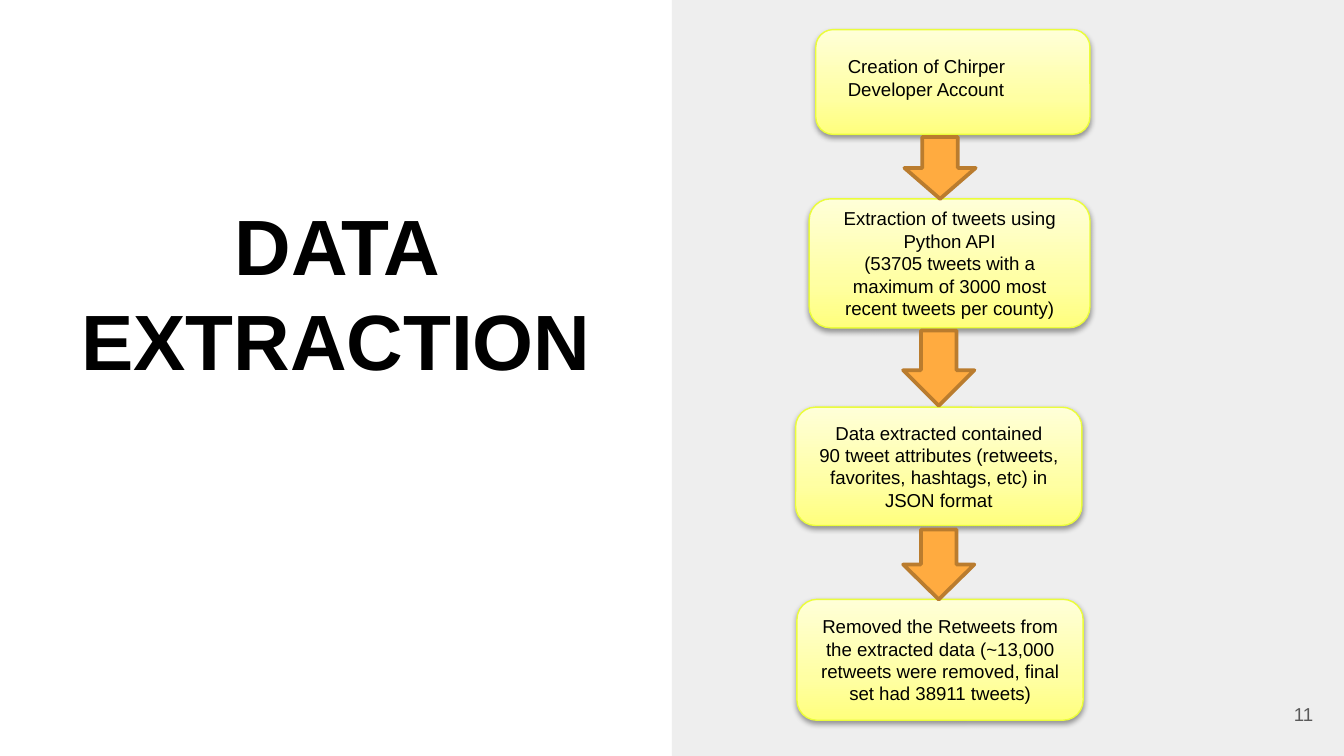
from copy import deepcopy
from dataclasses import dataclass

from lxml import etree
from pptx import Presentation
from pptx import util as u
from pptx.dml.color import RGBColor
from pptx.enum import shapes, text
from pptx.oxml.ns import qn

FONT = "Arial"
SLIDE_WIDTH = 10
SLIDE_HEIGHT = SLIDE_WIDTH * 9 / 16
NBSP = chr(160)  # keeps the count and its noun on one line
STEP_GRADIENT = [(0, "FFFF7D"), (0.35, "FFFFA3"), (1, "FFFFD8")]


@dataclass
class Box:
    left: float
    top: float
    width: float
    height: float

    def lengths(self) -> list:
        return [u.Inches(v) for v in (self.left, self.top, self.width, self.height)]


@dataclass
class Step:
    box: Box
    lines: tuple = ()


STEPS = [
    Step(Box(6.07, 0.22, 2.04, 0.78)),
    Step(Box(6.02, 1.48, 2.09, 0.96),
         ("Extraction of tweets using Python API",
          "(53705 tweets with a maximum of 3000 most recent tweets per county)")),
    Step(Box(5.92, 3.03, 2.13, 0.88),
         (f"Data extracted contained 90{NBSP}tweet attributes "
          "(retweets, favorites, hashtags, etc) in JSON format",)),
    Step(Box(5.93, 4.46, 2.13, 0.9),
         ("Removed the Retweets from the extracted data "
          "(~13,000 retweets were removed, final set had 38911 tweets)",)),
]
ARROWS = [Box(6.73, 1.02, 0.53, 0.46), Box(6.72, 2.46, 0.53, 0.56),
          Box(6.72, 3.94, 0.53, 0.52)]


def color(hex_code: str) -> RGBColor:
    return RGBColor.from_string(hex_code)


def write(sp, lines: tuple, size: float = 10, ink: str = "000000", bold: bool = False,
          align=text.PP_ALIGN.CENTER, anchor=text.MSO_ANCHOR.MIDDLE,
          inset: float = 0.05) -> None:
    tf = sp.text_frame
    tf.word_wrap = True
    tf.vertical_anchor = anchor
    tf.margin_left = tf.margin_right = u.Inches(0.1)
    tf.margin_top = tf.margin_bottom = u.Inches(inset)
    for i, line in enumerate(lines):
        p = tf.add_paragraph() if i else tf.paragraphs[0]
        p.alignment = align
        r = p.add_run()
        r.text = line
        r.font.name, r.font.size, r.font.bold = FONT, u.Pt(size), bold
        r.font.color.rgb = color(ink)


def add_text(s, box: Box, line: str, **style):
    sp = s.shapes.add_textbox(*box.lengths())
    write(sp, (line,), **style)
    return sp


def add_shape(s, kind, box: Box, fill: str = "", line: str = "", weight: float = 0):
    sp = s.shapes.add_shape(kind, *box.lengths())
    sp.shadow.inherit = False
    if fill:
        sp.fill.solid()
        sp.fill.fore_color.rgb = color(fill)
    if line:
        sp.line.color.rgb = color(line)
        sp.line.width = u.Pt(weight)
    else:
        sp.line.fill.background()
    return sp


def add_step(s, step: Step) -> None:
    sp = add_shape(s, shapes.MSO_SHAPE.ROUNDED_RECTANGLE, step.box,
                   line="EBFD3A", weight=0.75)
    # Three-stop gradient running from bottom to top
    sp.fill.gradient()
    sp.fill.gradient_angle = 90
    spPr = sp._element.spPr
    stop_list = spPr.find(".//" + qn("a:gsLst"))
    stop_list.append(deepcopy(stop_list[0]))
    for stop, (position, hex_code) in zip(sp.fill.gradient_stops, STEP_GRADIENT):
        stop.position = position
        stop.color.rgb = color(hex_code)
    # Soft shadow below
    shadow = etree.SubElement(
        spPr.find(qn("a:effectLst")), qn("a:outerShdw"), blurRad=str(u.Pt(3.1)),
        dist=str(u.Pt(1.6)), dir="5400000", rotWithShape="0")
    black = etree.SubElement(shadow, qn("a:srgbClr"), val="000000")
    etree.SubElement(black, qn("a:alpha"), val="38000")
    if step.lines:
        write(sp, step.lines)


def main() -> None:
    prs = Presentation()
    prs.slide_width, prs.slide_height = u.Inches(SLIDE_WIDTH), u.Inches(SLIDE_HEIGHT)
    s = prs.slides.add_slide(prs.slide_layouts[6])

    # Right panel and title
    half = SLIDE_WIDTH / 2
    add_shape(s, shapes.MSO_SHAPE.RECTANGLE, Box(half, 0, half, SLIDE_HEIGHT),
              fill="EEEEEE")
    add_text(s, Box(0.29, 1.35, 4.42, 1.62), "DATA EXTRACTION", size=42, bold=True,
             anchor=text.MSO_ANCHOR.BOTTOM, inset=0.1)

    # Flow of steps
    for step in STEPS:
        add_step(s, step)
    for box in ARROWS:
        add_shape(s, shapes.MSO_SHAPE.DOWN_ARROW, box, "FFAB40", "BA7C2E", 2)

    # Label of the first step
    label = add_text(s, Box(6.21, 0.36, 1.85, 0.44),
                     "Creation of Chirper Developer Account",
                     align=text.PP_ALIGN.LEFT, anchor=text.MSO_ANCHOR.TOP)
    label.text_frame.auto_size = text.MSO_AUTO_SIZE.SHAPE_TO_FIT_TEXT

    # Slide number
    add_text(s, Box(9.27, 5.1, 0.6, 0.43), "11", ink="595959",
             align=text.PP_ALIGN.RIGHT, inset=0.1)

    prs.save("out.pptx")


if __name__ == "__main__":
    main()
